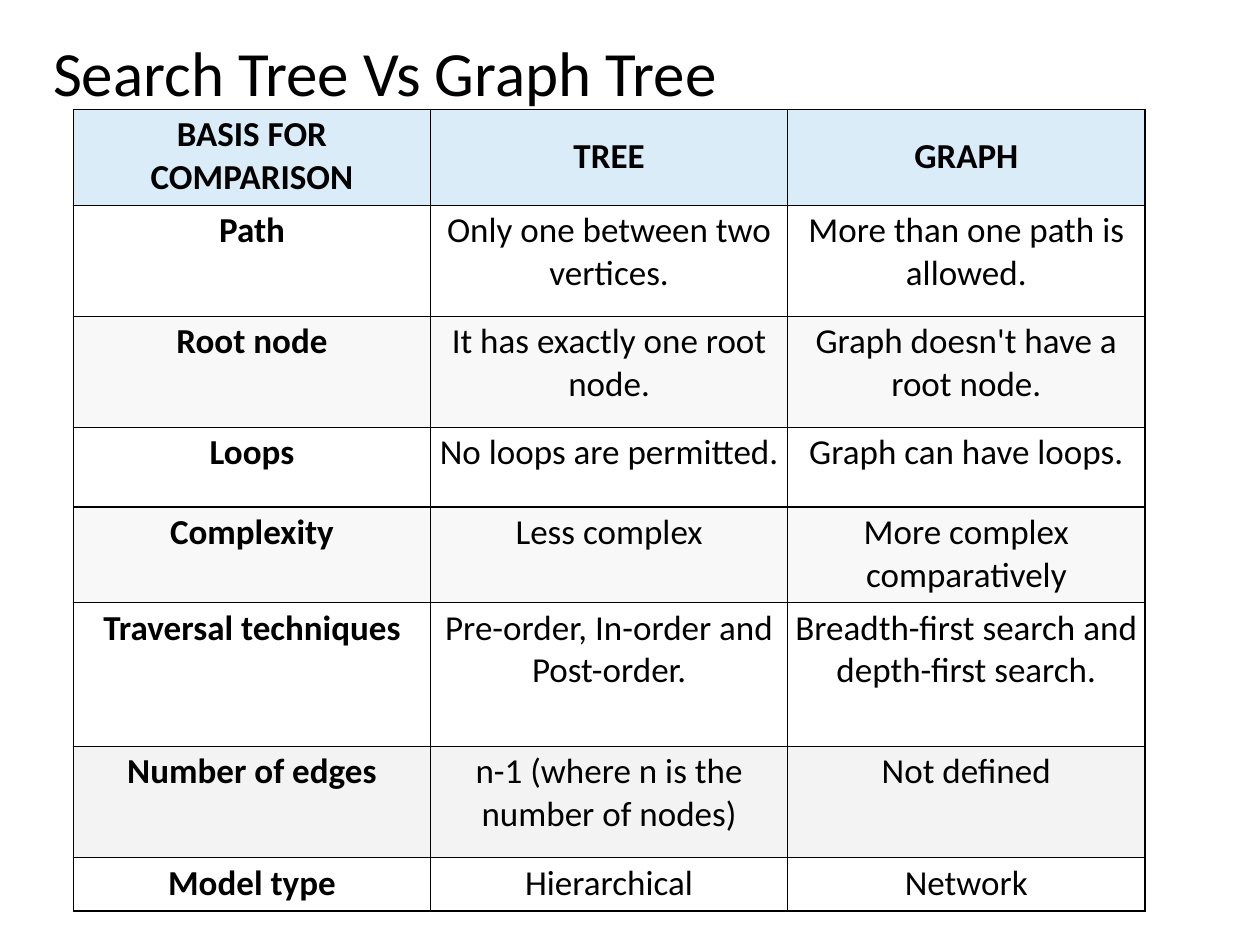
import pptx
import pptx.util
import pptx.dml.color
import pptx.enum.text
import pptx.oxml
import pptx.oxml.ns

Cm = pptx.util.Cm
Pt = pptx.util.Pt
RGBColor = pptx.dml.color.RGBColor

BLACK = RGBColor(0x00, 0x00, 0x00)
HEADER = RGBColor(0xD9, 0xEC, 0xF7)
LIGHT = RGBColor(0xF8, 0xF8, 0xF8)
GREY = RGBColor(0xF3, 0xF3, 0xF3)

ROWS = [
    (1.93, HEADER, ["BASIS FOR\nCOMPARISON", "TREE", "GRAPH"]),
    (2.24, None, ["Path", "Only one between two\nvertices.", "More than one path is\nallowed."]),
    (2.24, LIGHT, ["Root node", "It has exactly one root\nnode.", "Graph doesn't have a\nroot node."]),
    (1.6, None, ["Loops", "No loops are permitted.", "Graph can have loops."]),
    (1.93, LIGHT, ["Complexity", "Less complex", "More complex\ncomparatively"]),
    (2.9, None, ["Traversal techniques", "Pre-order, In-order and\nPost-order.",
                 "Breadth-first search and\ndepth-first search."]),
    (2.24, GREY, ["Number of edges", "n-1 (where n is the\nnumber of nodes)", "Not defined"]),
    (1.07, None, ["Model type", "Hierarchical", "Network"]),
]


def style(p, size, bold=False):
    p.font.name = "Calibri"
    p.font.size = Pt(size)
    p.font.bold = bold
    p.font.color.rgb = BLACK


def add_borders(cell):
    tcPr = cell._tc.get_or_add_tcPr()
    for side in ("lnL", "lnR", "lnT", "lnB"):
        tcPr.append(pptx.oxml.parse_xml(
            f'<a:{side} {pptx.oxml.ns.nsdecls("a")} w="{Pt(1)}">'
            f'<a:solidFill><a:srgbClr val="{BLACK}"/></a:solidFill></a:{side}>'))


prs = pptx.Presentation()
prs.slide_width = Cm(25.4)
prs.slide_height = Cm(19.05)
s = prs.slides.add_slide(prs.slide_layouts[6])

title = s.shapes.add_textbox(Cm(1.07), Cm(0.61), Cm(14.17), Cm(1.57))
tf = title.text_frame
tf.word_wrap = True
tf.margin_left = tf.margin_right = tf.margin_bottom = 0
tf.margin_top = Cm(0.06)
tf.text = "Search Tree Vs Graph Tree"
style(tf.paragraphs[0], 36)

height = sum(row[0] for row in ROWS)
table = s.shapes.add_table(len(ROWS), 3, Cm(1.48), Cm(2.21), Cm(21.6), Cm(height)).table
table.first_row = False
table.horz_banding = False
for column in table.columns:
    column.width = Cm(7.2)

for i, (row_height, color, texts) in enumerate(ROWS):
    table.rows[i].height = Cm(row_height)
    for j, text in enumerate(texts):
        cell = table.cell(i, j)
        cell.margin_left = cell.margin_right = cell.margin_bottom = 0
        cell.margin_top = Cm(0.51 if i == 0 and j > 0 else 0.08)
        add_borders(cell)
        if color is None:
            cell.fill.background()
        else:
            cell.fill.solid()
            cell.fill.fore_color.rgb = color
        cell.text_frame.text = text
        for p in cell.text_frame.paragraphs:
            p.alignment = pptx.enum.text.PP_ALIGN.CENTER
            style(p, 20, i == 0 or j == 0)

prs.save("out.pptx")
